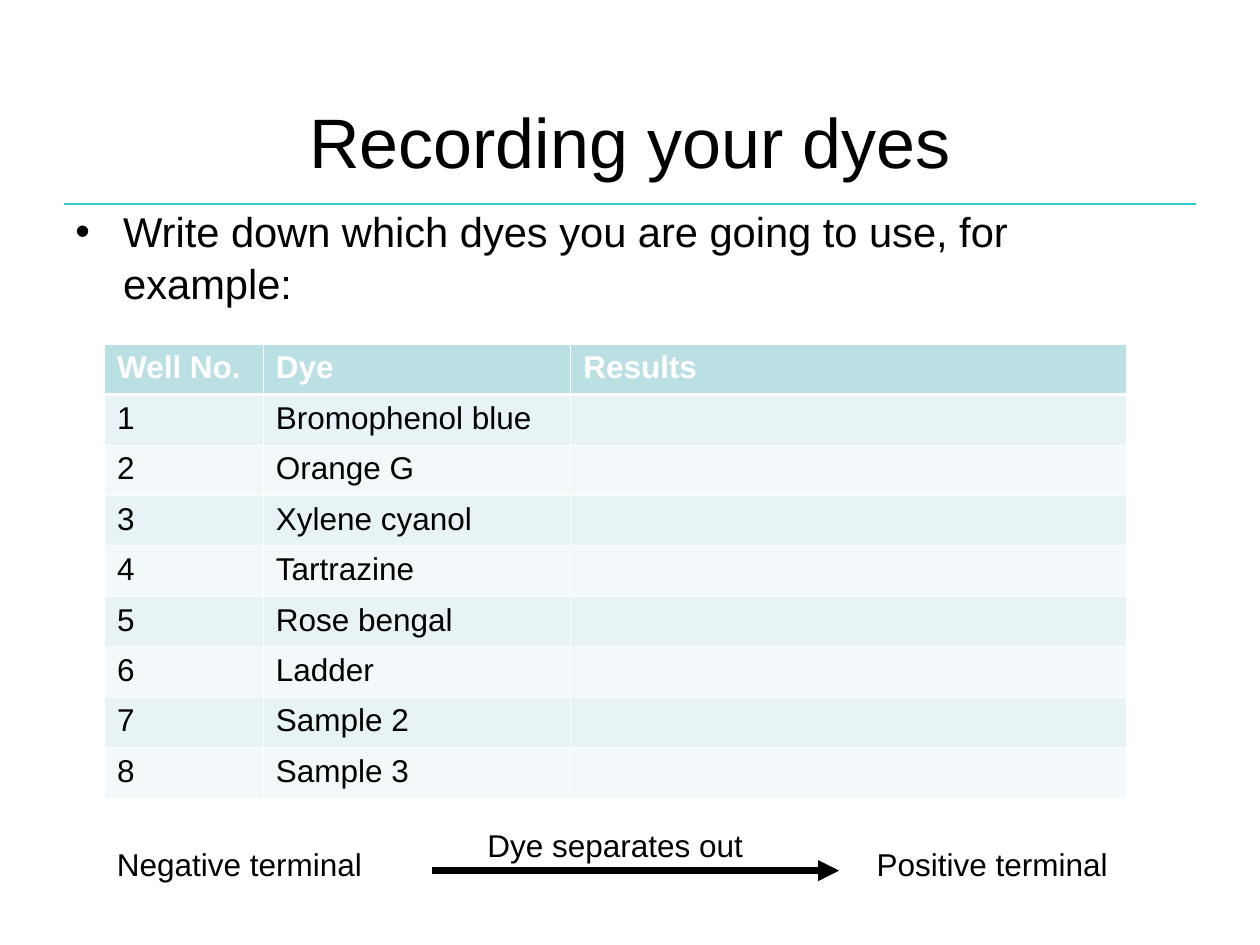
from pptx import Presentation
from pptx.dml.color import RGBColor as Rgb
from pptx.enum.shapes import MSO_CONNECTOR as Conn
from pptx.enum.text import MSO_ANCHOR as Anchor, PP_ALIGN as Align
from pptx.oxml.ns import qn
from pptx.util import Inches, Pt
from lxml.etree import SubElement as Sub

INK = {
    "black": "000000", "white": "FFFFFF", "rule": "33CCCC",
    "head": "BBE0E3", "odd": "E7F3F4", "even": "F3F9FA",
}
DYES = ["Bromophenol blue", "Orange G", "Xylene cyanol", "Tartrazine",
        "Rose bengal", "Ladder", "Sample 2", "Sample 3"]


def tint(name):
    return Rgb.from_string(INK[name])


def write(frame, text, size=18, color="black", bold=False, align=Align.LEFT,
          indent=0, bullet=None, tab=None, lead=None):
    para = frame.paragraphs[0]
    para.alignment = align
    if lead:
        para.line_spacing = lead
    props = para._p.get_or_add_pPr()
    if indent:
        props.set("marL", str(Inches(indent)))
    if bullet:
        props.set("indent", str(-Inches(indent)))
        Sub(props, qn("a:buFont"), typeface="Arial")
        Sub(props, qn("a:buChar"), char=bullet)
    if tab:
        stops = Sub(props, qn("a:tabLst"))
        Sub(stops, qn("a:tab"), pos=str(Inches(tab)), algn="l")
    run = para.add_run()
    run.text = text
    font = run.font
    font.name, font.size, font.bold = "Arial", Pt(size), bold
    font.color.rgb = tint(color)


class Deck:
    def __init__(self, wide, high):
        self.show = Presentation()
        self.show.slide_width = Inches(wide)
        self.show.slide_height = Inches(high)
        self.slide = self.show.slides.add_slide(self.show.slide_layouts[6])

    def text(self, box, text, anchor=Anchor.TOP, top=0.05, **form):
        frame = self.slide.shapes.add_textbox(*map(Inches, box)).text_frame
        frame.word_wrap = True
        frame.vertical_anchor = anchor
        frame.margin_top = Inches(top)
        write(frame, text, **form)

    def line(self, left, right, y, color, width, arrow=False):
        ends = map(Inches, (left, y, right, y))
        link = self.slide.shapes.add_connector(Conn.STRAIGHT, *ends)
        link.line.color.rgb = tint(color)
        link.line.width = Pt(width)
        if arrow:
            Sub(link.line._get_or_add_ln(), qn("a:tailEnd"), type="triangle")
        Sub(link._element.spPr, qn("a:effectLst"))

    def edge(self, cell, sides):
        props = cell._tc.get_or_add_tcPr()
        for side, width in sides.items():
            line = Sub(props, qn(f"a:ln{side}"), w=str(Pt(width)))
            fill = Sub(line, qn("a:solidFill"))
            Sub(fill, qn("a:srgbClr"), val=INK["white"])

    def table(self, left, top, cols, high, rows):
        size = map(Inches, (left, top, sum(cols), high * len(rows)))
        shape = self.slide.shapes.add_table(len(rows), len(cols), *size)
        grid = shape.table
        for col, wide in zip(grid.columns, cols):
            col.width = Inches(wide)
        for r, row in enumerate(rows):
            grid.rows[r].height = Inches(high)
            shade = "head" if r == 0 else "odd" if r % 2 else "even"
            for c, text in enumerate(row):
                cell = grid.cell(r, c)
                self.edge(cell, {"L": 0.45, "R": 0.45,
                                 "T": 1.47 if r == 1 else 0.45,
                                 "B": 1.47 if r == 0 else 0.45})
                cell.fill.solid()
                cell.fill.fore_color.rgb = tint(shade)
                if text:
                    write(cell.text_frame, text, bold=r == 0,
                          color="black" if r else "white")


def main():
    deck = Deck(10, 7.5)
    deck.line(0.51, 9.49, 1.62, "rule", 1.5)
    deck.text((0.5, 0.68, 9, 0.87), "Recording your dyes",
              anchor=Anchor.MIDDLE, size=40, align=Align.CENTER)
    deck.text((0.5, 1.54, 9, 0.94),
              "Write down which dyes you are going to use, for example:",
              top=0.08, size=23.8, indent=0.38, bullet="•", lead=1.04)
    rows = [("Well No.", "Dye", "Results")]
    rows += [(str(n), dye, "") for n, dye in enumerate(DYES, 1)]
    deck.table(0.83, 2.73, (1.26, 2.44, 4.41), 0.4, rows)
    deck.text((0.83, 6.66, 8.11, 0.4),
              "Negative terminal\tPositive terminal", tab=6.03)
    deck.line(3.43, 6.66, 6.91, "black", 4, arrow=True)
    deck.text((3.43, 6.51, 3.23, 0.4), "Dye separates out", indent=0.34)
    deck.show.save("out.pptx")


if __name__ == "__main__":
    main()
